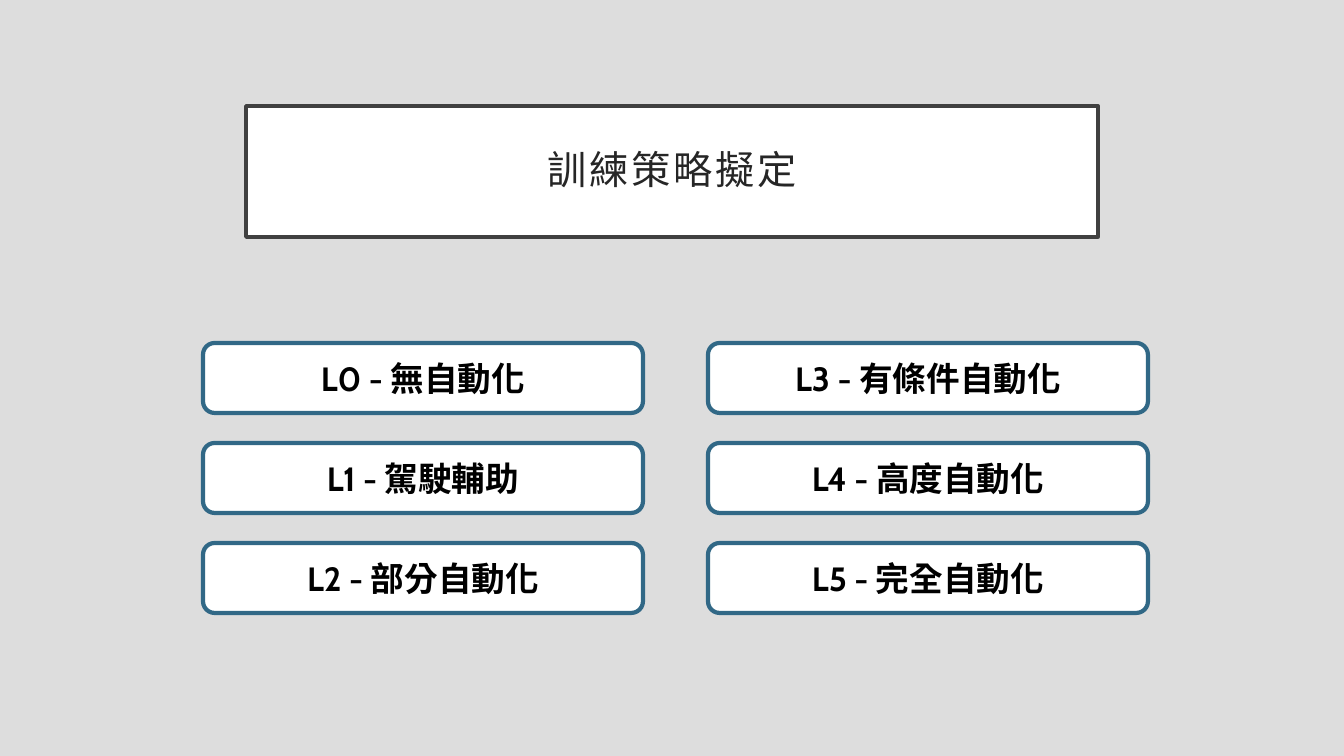
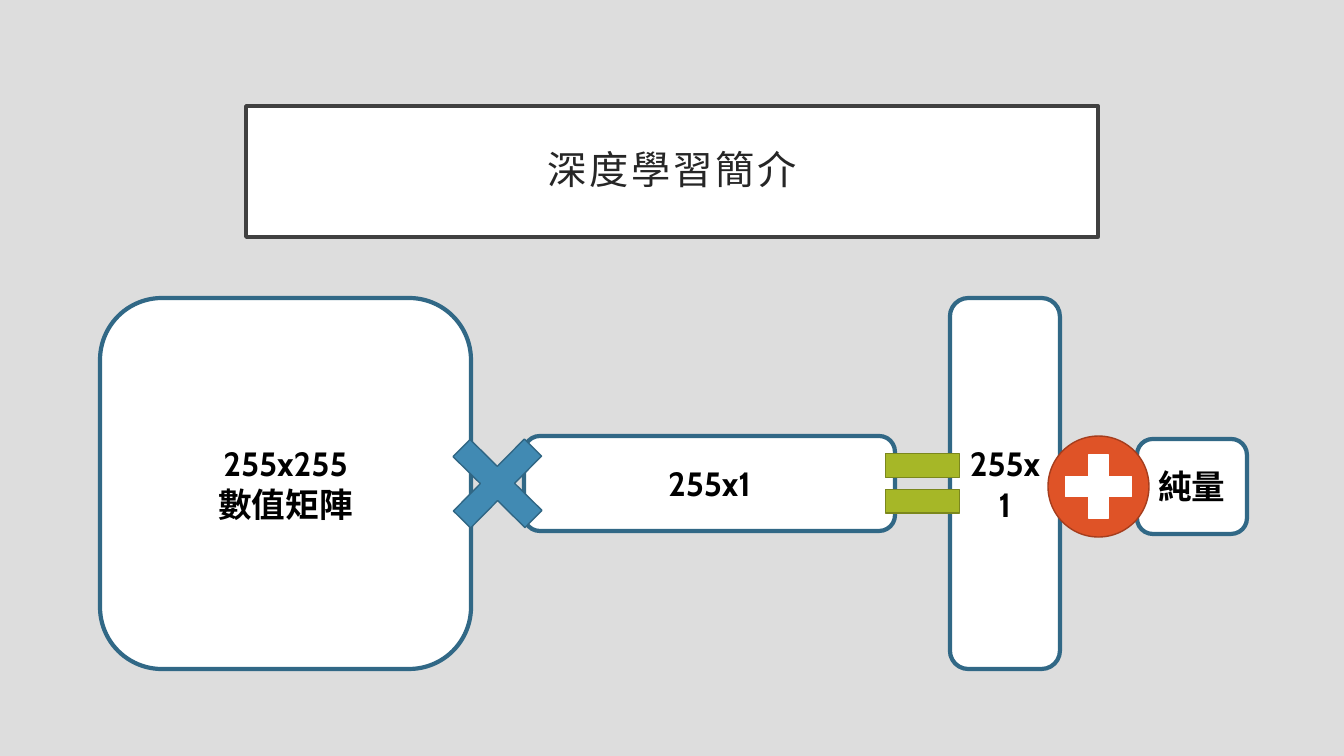
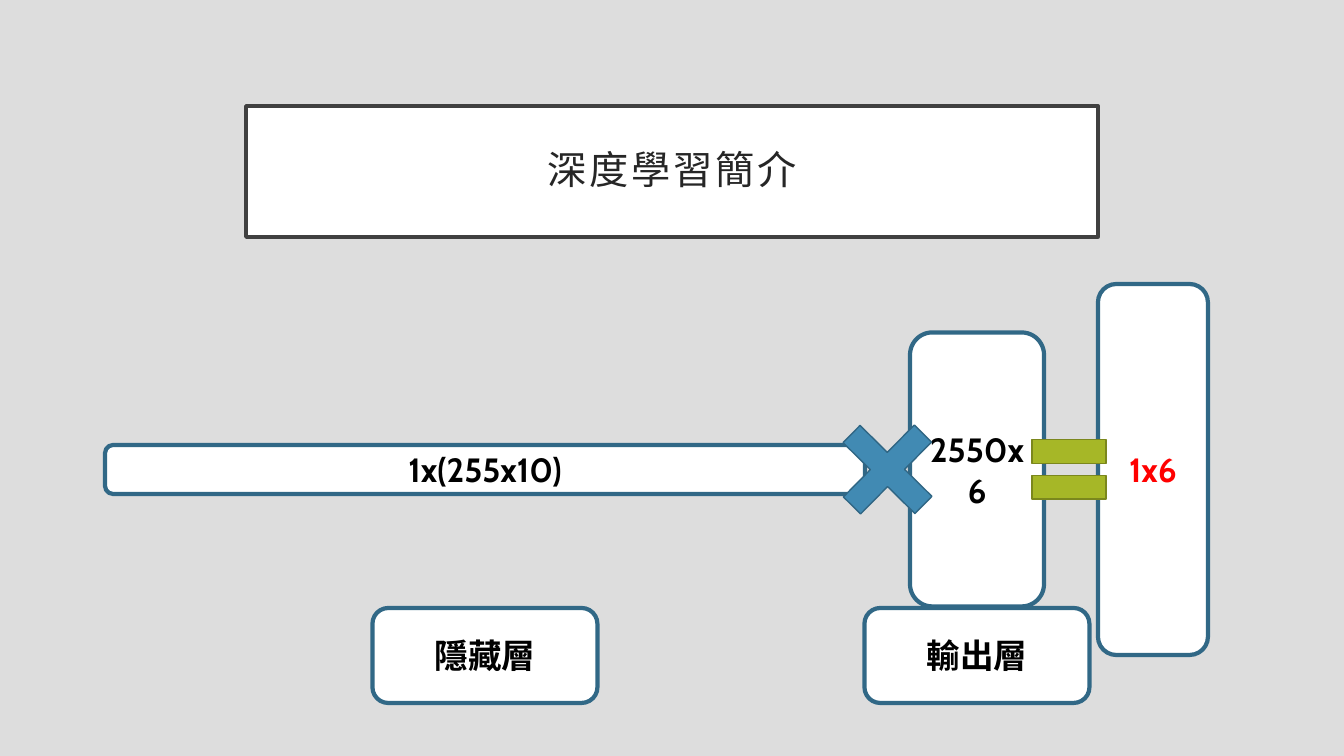
from dataclasses import dataclass
from typing import Callable, Optional

from pptx import Presentation
from pptx.dml.color import RGBColor
from pptx.enum.shapes import MSO_SHAPE
from pptx.enum.text import MSO_ANCHOR, MSO_AUTO_SIZE, PP_ALIGN
from pptx.util import Emu, Pt

ROUNDED, CROSS = MSO_SHAPE.ROUNDED_RECTANGLE, MSO_SHAPE.CROSS
EQUAL, PLUS, OVAL = MSO_SHAPE.MATH_EQUAL, MSO_SHAPE.MATH_PLUS, MSO_SHAPE.OVAL
MIDDLE, CENTER, FIXED = MSO_ANCHOR.MIDDLE, PP_ALIGN.CENTER, MSO_AUTO_SIZE.NONE
TITLE_ONLY = 5
SLIDE_SIZE = (1344, 756)
TITLE_BOX = (246, 106, 852, 131)
OPERATOR_SIZE = 101
CAPTION_SIZE = (225, 95)


@dataclass(frozen=True)
class Theme:
    """Colours, font and sizes shared by all slides."""
    font: str = "Cabin"
    title_size: int = 28
    card_size: int = 24
    title_line: float = 2.5
    card_line: int = 3
    operator_line: int = 1
    background: str = "DDDDDD"
    white: str = "FFFFFF"
    text: str = "000000"
    title_text: str = "262626"
    title_border: str = "404040"
    card_border: str = "316886"
    highlight: str = "FF0000"
    times: tuple = ("418AB3", "306684")
    equals: tuple = ("A6B727", "7B871D")
    plus: tuple = ("DF5327", "A53D1D")


THEME = Theme()


@dataclass
class Term:
    """One card of an equation, with the operator that precedes it."""
    text: str
    width: int
    height: int
    gap: int = 0
    operator: Optional[Callable] = None
    drop: int = 0
    nudge: int = 0
    colour: str = THEME.text
    caption: str = ""


def px(length):
    """Turn px into EMU."""
    return Emu(round(length * 914400 / 100.8))


def paint(shape, fill, border, weight):
    """Give a shape a solid fill and border."""
    shape.fill.solid()
    shape.fill.fore_color.rgb = RGBColor.from_string(fill)
    shape.line.color.rgb = RGBColor.from_string(border)
    shape.line.width = Pt(weight)


def write(shape, text, size, colour, bold=False, tracking=0, leading=None):
    """Set centred text in a shape."""
    frame = shape.text_frame
    frame.text = text
    frame.word_wrap = True
    frame.auto_size = FIXED
    frame.vertical_anchor = MIDDLE
    for paragraph in frame.paragraphs:
        paragraph.alignment = CENTER
        paragraph.line_spacing = leading
        for run in paragraph.runs:
            run.font.name = THEME.font
            run.font.size = Pt(size)
            run.font.bold = bold
            run.font.color.rgb = RGBColor.from_string(colour)
            properties = run._r.get_or_add_rPr()
            properties.set("lang", "zh-TW")
            properties.set("spc", str(tracking))


def add_preset(slide, preset, box, fill, border, weight):
    """Add a painted preset shape without shadow."""
    shape = slide.shapes.add_shape(preset, *map(px, box))
    shape.shadow.inherit = False
    paint(shape, fill, border, weight)
    return shape


def add_card(slide, box, text, colour=THEME.text):
    """Add a rounded white card with bold text."""
    card = add_preset(slide, ROUNDED, box, THEME.white, THEME.card_border,
                      THEME.card_line)
    write(card, text, THEME.card_size, colour, bold=True)


def add_operator(slide, preset, center, size, colours):
    """Add an operator shape around a centre point."""
    box = [c - s / 2 for c, s in zip(center, size)] + list(size)
    return add_preset(slide, preset, box, *colours, THEME.operator_line)


def add_times(slide, center):
    """Add a multiplication sign."""
    sign = add_operator(slide, CROSS, center, (OPERATOR_SIZE,) * 2, THEME.times)
    sign.adjustments[0] = 0.38
    sign.rotation = 44.6


def add_equals(slide, center):
    """Add an equals sign."""
    add_operator(slide, EQUAL, center, (OPERATOR_SIZE,) * 2, THEME.equals)


def add_plus(slide, center):
    """Add a white plus on a disc."""
    add_operator(slide, OVAL, center, (OPERATOR_SIZE,) * 2, THEME.plus)
    add_operator(slide, PLUS, center, (90, 86), (THEME.white, THEME.white))


def add_titled_slide(deck, text):
    """Add a slide with the framed title."""
    slide = deck.slides.add_slide(deck.slide_layouts[TITLE_ONLY])
    title = slide.shapes.title
    title.left, title.top, title.width, title.height = map(px, TITLE_BOX)
    paint(title, THEME.white, THEME.title_border, THEME.title_line)
    write(title, text, THEME.title_size, THEME.title_text, tracking=200,
          leading=0.9)
    frame = title.text_frame
    frame.margin_left = frame.margin_right = px(20)
    frame.margin_top = frame.margin_bottom = px(20)
    return slide


def add_level_grid(slide, box, levels, rows=3, card_size=(440, 70)):
    """Fill a box with level cards, column by column."""
    left, top, width, height = box
    card_width, card_height = card_size
    columns = len(levels) // rows
    column_step = (width - card_width) / (columns - 1)
    row_step = (height - card_height) / (rows - 1)
    for index, level in enumerate(levels):
        column, row = divmod(index, rows)
        add_card(slide, (left + column * column_step, top + row * row_step,
                         card_width, card_height), level)


def add_equation(slide, box, terms):
    """Lay terms along the middle of a box, operators in the gaps and captions at its foot."""
    left, top, _, height = box
    axis = top + height / 2
    operators = []
    for term in terms:
        if term.operator:
            center = (left + term.gap / 2 + term.nudge, axis + term.drop)
            operators.append((term.operator, center))
        left += term.gap
        add_card(slide, (left, axis - term.height / 2 + term.drop,
                         term.width, term.height), term.text, term.colour)
        if term.caption:
            caption_left = left + (term.width - CAPTION_SIZE[0]) / 2
            add_card(slide, (caption_left, top + 324, *CAPTION_SIZE),
                     term.caption)
        left += term.width
    for operator, center in operators:
        operator(slide, center)


def main():
    """Build and save the deck."""
    deck = Presentation()
    deck.slide_width, deck.slide_height = map(px, SLIDE_SIZE)
    backdrop = deck.slide_master.background.fill
    backdrop.solid()
    backdrop.fore_color.rgb = RGBColor.from_string(THEME.background)

    strategy = add_titled_slide(deck, "訓練策略擬定")
    add_level_grid(strategy, (203, 343, 945, 270), [
        "L0 - 無自動化", "L1 - 駕駛輔助", "L2 - 部分自動化",
        "L3 - 有條件自動化", "L4 - 高度自動化", "L5 - 完全自動化"])

    matrix = add_titled_slide(deck, "深度學習簡介")
    add_equation(matrix, (100, 298, 1147, 371), [
        Term("255x255\n數值矩陣", 371, 371),
        Term("255x1", 371, 95, 53, add_times),
        Term("255x1", 110, 371, 55, add_equals),
        Term("純量", 110, 95, 77, add_plus, drop=3)])

    layers = add_titled_slide(deck, "深度學習簡介")
    add_equation(layers, (105, 284, 1103, 371), [
        Term("1x(255x10)", 760, 49, caption="隱藏層"),
        Term("2550x6", 134, 274, 45, add_times, caption="輸出層"),
        Term("1x6", 110, 371, 54, add_equals, nudge=-2,
             colour=THEME.highlight)])

    deck.save("out.pptx")


if __name__ == "__main__":
    main()
